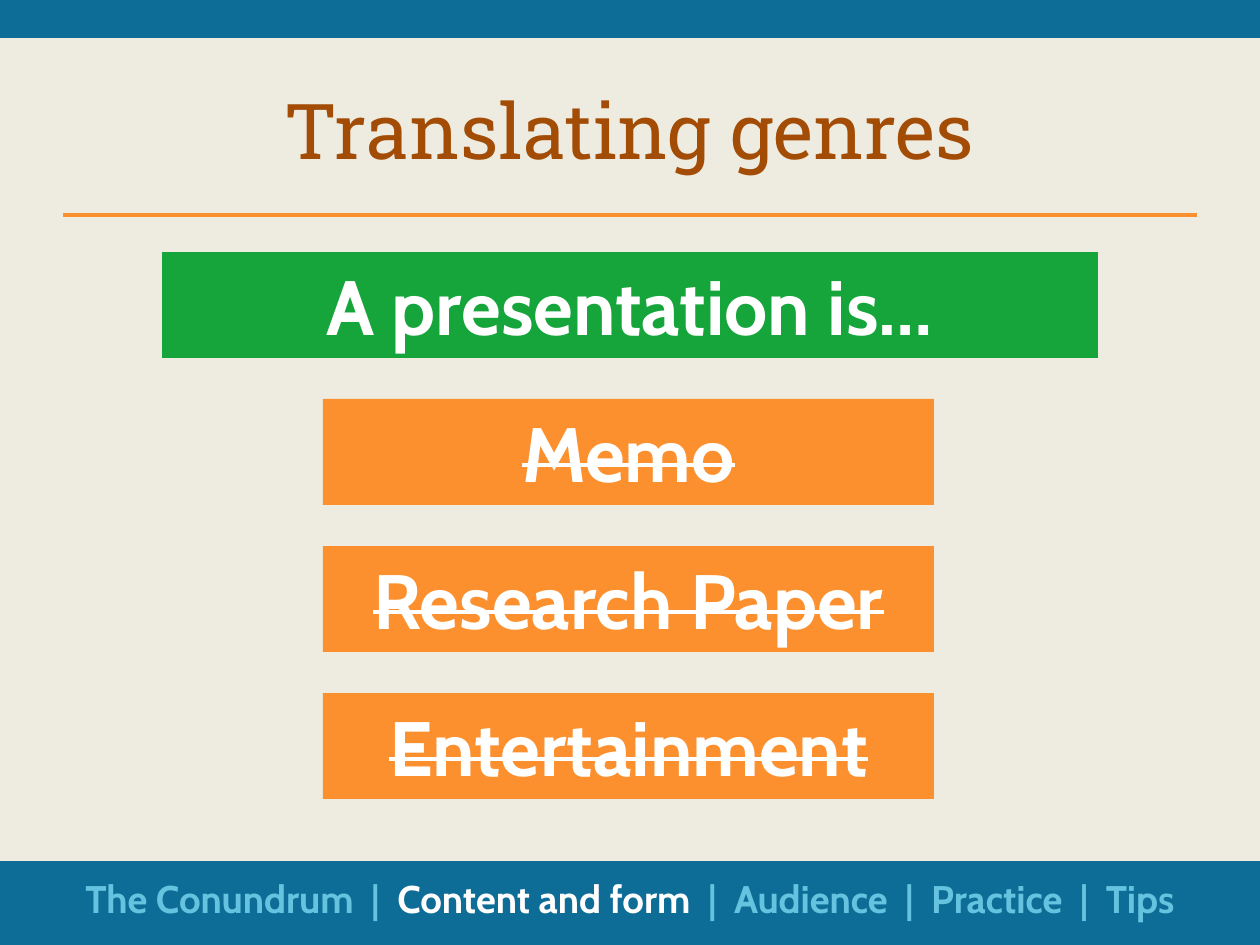
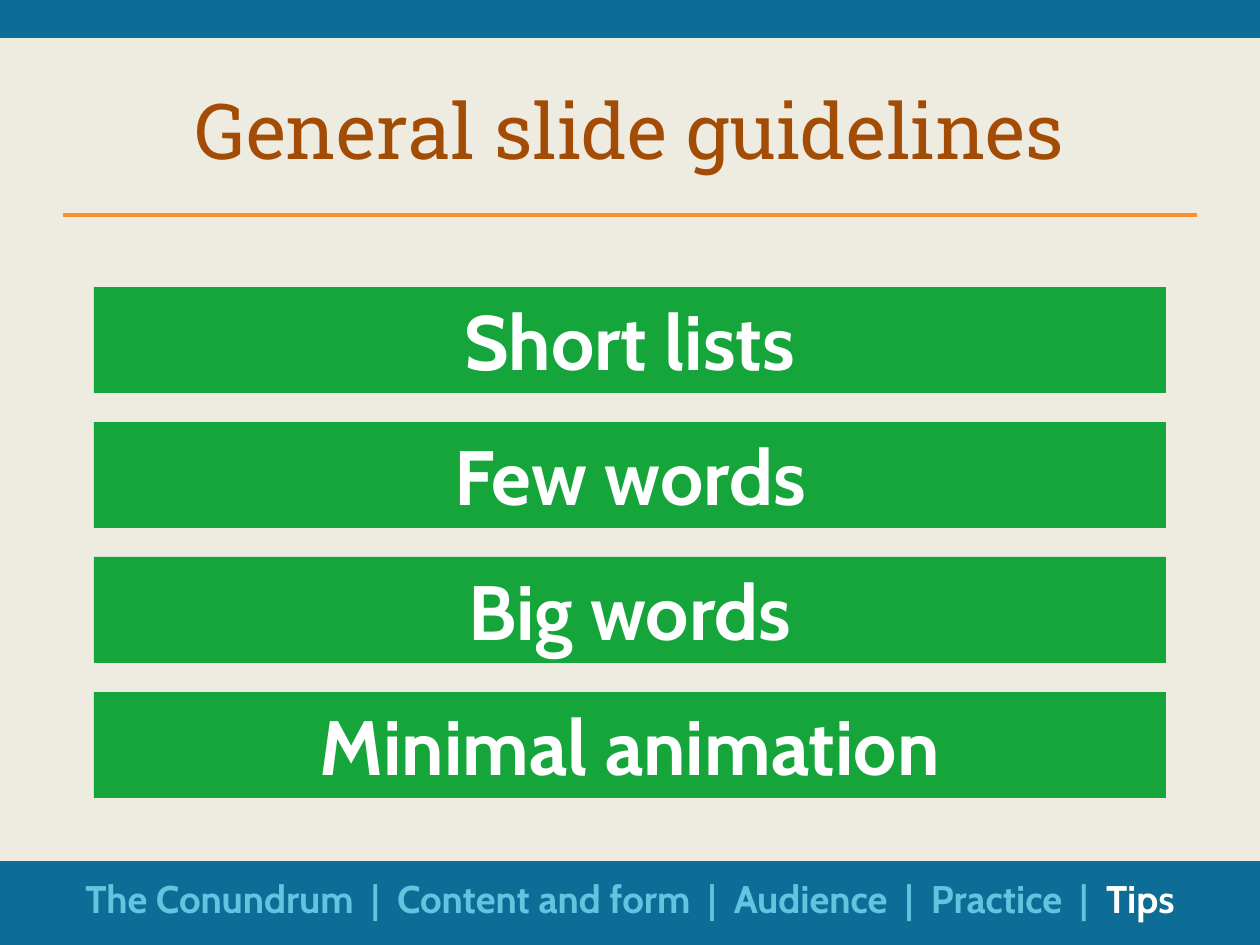
import pptx
import pptx.dml.color
import pptx.enum.shapes
import pptx.enum.text
import pptx.oxml.ns
import pptx.util
from lxml import etree

PX = 914400 / 126
WIDTH, HEIGHT = 1260, 945
MARGIN = 63
BAR_HEIGHT = 106

COLORS = {
    "paper": "EEECE1",
    "band": "0D6D97",
    "rule": "FD902E",
    "title": "A34C05",
    "yes": "15A53B",
    "no": "FD902E",
    "text": "FFFFFF",
    "dim": "65C3DF",
}
TITLE = {"name": "Roboto Slab", "size": pptx.util.Pt(44), "bold": False}
LABEL = {"name": "Cabin", "size": pptx.util.Pt(44), "bold": True}
FOOTER = {"name": "Cabin", "size": pptx.util.Pt(22), "bold": True}
SECTIONS = ["The Conundrum", "Content and form", "Audience", "Practice", "Tips"]


def px(*lengths):
    return [pptx.util.Emu(round(n * PX)) for n in lengths]


def rgb(name):
    return pptx.dml.color.RGBColor.from_string(COLORS[name])


def add_run(p, text, font, color, strike=False):
    r = p.add_run()
    r.text = text
    for key, value in font.items():
        setattr(r.font, key, value)
    r.font.color.rgb = rgb(color)
    if strike:
        r._r.get_or_add_rPr().set("strike", "sngStrike")


def centered_paragraph(sp, anchor="TOP"):
    tf = sp.text_frame
    tf.word_wrap = True
    tf.vertical_anchor = getattr(pptx.enum.text.MSO_ANCHOR, anchor)
    p = tf.paragraphs[0]
    p.alignment = pptx.enum.text.PP_ALIGN.CENTER
    return p


def add_rect(s, box, color):
    sp = s.shapes.add_shape(pptx.enum.shapes.MSO_SHAPE.RECTANGLE, *px(*box))
    sp.shadow.inherit = False
    sp.fill.solid()
    sp.fill.fore_color.rgb = rgb(color)
    sp.line.fill.background()
    return sp


def add_rule(s, y):
    line = s.shapes.add_connector(
        pptx.enum.shapes.MSO_CONNECTOR.STRAIGHT, *px(MARGIN, y, WIDTH - MARGIN, y))
    line.line.color.rgb = rgb("rule")
    line.line.width = pptx.util.Pt(2)
    etree.SubElement(line._element.spPr, pptx.oxml.ns.qn("a:effectLst"))


def add_bars(s, labels, left, top, width, pitch, color, strike=False):
    """Stack labelled bars downwards, one every pitch px."""
    for i, label in enumerate(labels):
        sp = add_rect(s, (left, top + i * pitch, width, BAR_HEIGHT), color)
        add_run(centered_paragraph(sp), label, LABEL, "text", strike)


def add_footer(s, current):
    """List the sections, with the current one in white."""
    sp = s.shapes.add_textbox(*px(MARGIN, 869, WIDTH - 2 * MARGIN, 59))
    p = centered_paragraph(sp)
    for i, section in enumerate(SECTIONS):
        if i:
            add_run(p, "  |  ", FOOTER, "dim")
        add_run(p, section, FOOTER, "text" if section == current else "dim")


def add_slide(prs, title, section):
    """Add a slide with the bands, title, rule and footer that all slides share."""
    s = prs.slides.add_slide(prs.slide_layouts[6])
    s.background.fill.solid()
    s.background.fill.fore_color.rgb = rgb("paper")
    add_rect(s, (0, 861, WIDTH, HEIGHT - 861), "band")
    add_rect(s, (0, 0, WIDTH, 38), "band")
    add_rule(s, 215)
    sp = s.shapes.add_textbox(*px(MARGIN, 63, WIDTH - 2 * MARGIN, 132))
    add_run(centered_paragraph(sp, "MIDDLE"), title, TITLE, "title")
    add_footer(s, section)
    return s


def main():
    prs = pptx.Presentation()
    prs.slide_width, prs.slide_height = px(WIDTH, HEIGHT)

    s = add_slide(prs, "Translating genres", "Content and form")
    add_bars(s, ["A presentation is…"], 162, 252, 936, 147, "yes")
    add_bars(s, ["Memo", "Research Paper", "Entertainment"],
             323, 399, 611, 147, "no", strike=True)

    s = add_slide(prs, "General slide guidelines", "Tips")
    add_bars(s, ["Short lists", "Few words", "Big words", "Minimal animation"],
             94, 287, 1072, 135, "yes")

    prs.save("out.pptx")


if __name__ == "__main__":
    main()
